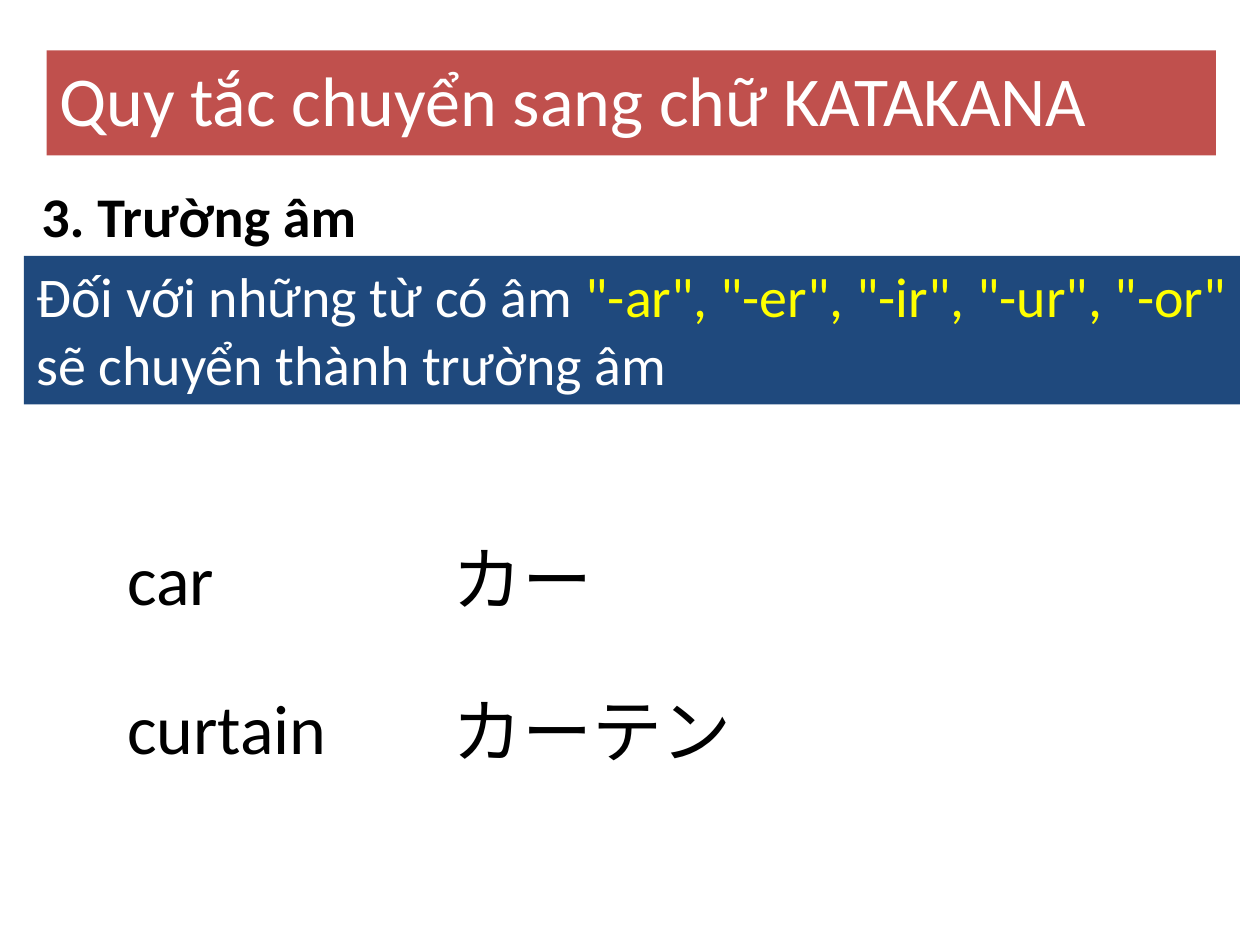
import pptx
import pptx.dml.color
import pptx.enum.text
import pptx.util

Pt = pptx.util.Pt
BLACK, WHITE, RED, NAVY, YELLOW = "000000", "FFFFFF", "C0504D", "1F497D", "FFFF00"

TITLE = ("Quy tắc chuyển sang chữ KATAKANA", (26.64, 28.8, 668.16, 55.44))
HEADING = ("3. Trường âm", (16.56, 100.08, 633.6, 46.08))
RULE = (
    [
        ("Đối với những từ có âm ", WHITE),
        ('"-ar", "-er", "-ir", "-ur", "-or"', YELLOW),
        (" sẽ chuyển thành trường âm", WHITE),
    ],
    (13.68, 146.16, 694.8, 84.96),
)
WORD_LEFT, KANA_LEFT, WORD_HEIGHT = 65.52, 251.28, 55.44
WORDS = [
    ("car", WORD_LEFT, 302.4, 164.16),
    ("カー", KANA_LEFT, 302.4, 164.16),
    ("curtain", WORD_LEFT, 387.36, 150.48),
    ("カーテン", KANA_LEFT, 389.52, 272.16),
]


def color(value):
    return pptx.dml.color.RGBColor.from_string(value)


def write(box, spans, area, fill, size, bold=False):
    for name, value in zip(("left", "top", "width", "height"), area):
        setattr(box, name, Pt(value))
    box.fill.solid()
    box.fill.fore_color.rgb = color(fill)
    frame = box.text_frame
    settings = {
        "word_wrap": True,
        "auto_size": pptx.enum.text.MSO_AUTO_SIZE.SHAPE_TO_FIT_TEXT,
        "vertical_anchor": pptx.enum.text.MSO_ANCHOR.TOP,
    }
    for name, value in settings.items():
        setattr(frame, name, value)
    para = frame.paragraphs[0]
    para.alignment = pptx.enum.text.PP_ALIGN.LEFT
    for text, ink in spans:
        span = para.add_run()
        span.text = text
        for name, value in {"name": "Calibri", "size": Pt(size), "bold": bold}.items():
            setattr(span.font, name, value)
        span.font.color.rgb = color(ink)


def add_text(page, spans, area, fill, size, bold=False):
    box = page.shapes.add_textbox(*map(Pt, area))
    write(box, spans, area, fill, size, bold)


def main():
    deck = pptx.Presentation()
    deck.slide_width, deck.slide_height = Pt(720), Pt(540)
    page = deck.slides.add_slide(deck.slide_layouts[5])

    text, area = TITLE
    write(page.shapes.title, [(text, WHITE)], area, RED, 40)
    text, area = HEADING
    add_text(page, [(text, BLACK)], area, WHITE, 32, bold=True)
    spans, area = RULE
    add_text(page, spans, area, NAVY, 32)
    for text, left, top, width in WORDS:
        add_text(page, [(text, BLACK)], (left, top, width, WORD_HEIGHT), WHITE, 40)

    deck.save("out.pptx")


if __name__ == "__main__":
    main()
